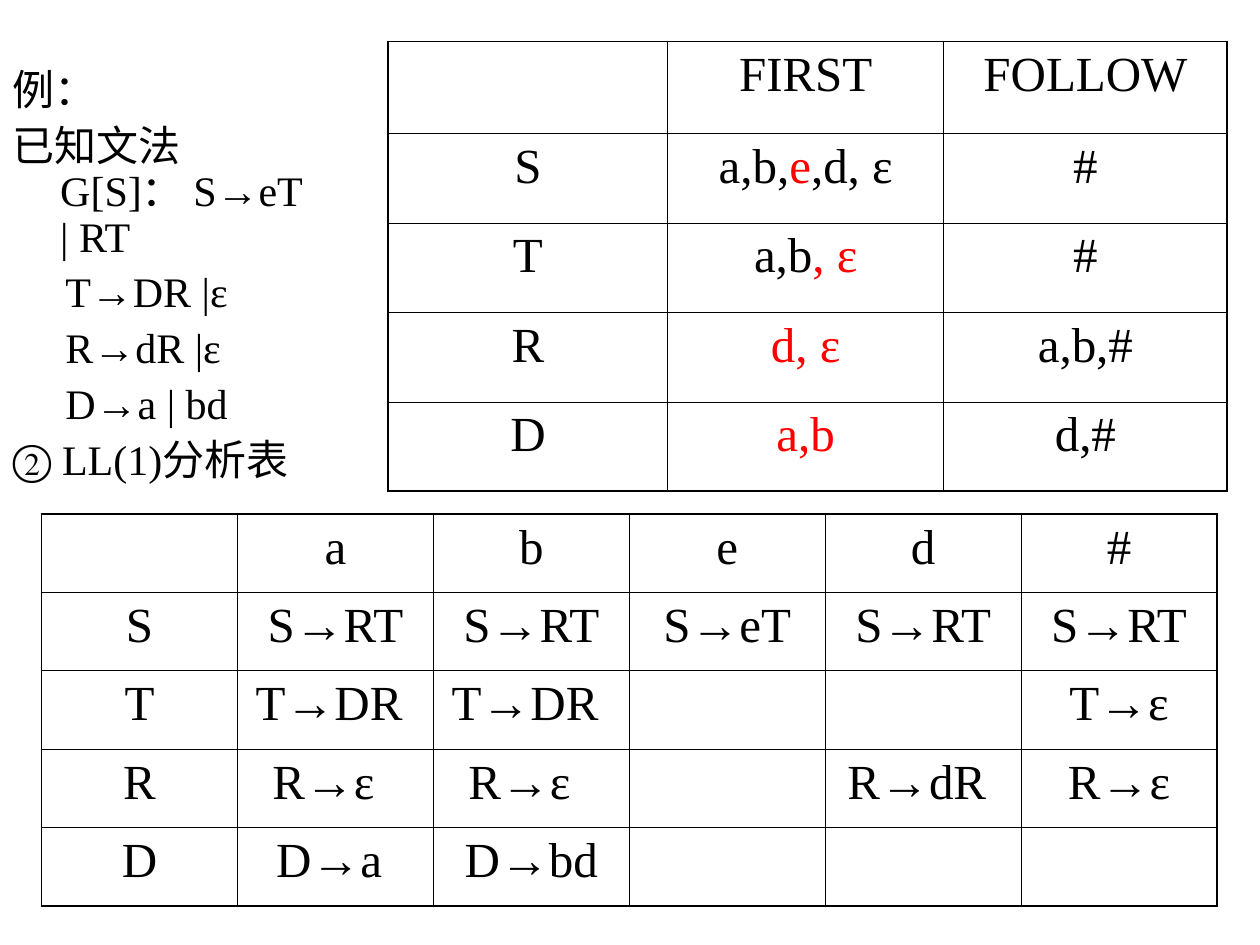
"""Build a slide with a grammar, its FIRST and FOLLOW sets and its LL(1) table."""
from lxml.etree import SubElement
from pptx import Presentation
from pptx.dml.color import RGBColor
from pptx.enum.text import PP_ALIGN
from pptx.oxml.ns import qn
from pptx.util import Inches, Pt

BLACK = RGBColor(0, 0, 0)
RED = RGBColor(255, 0, 0)

HANGING = {"marL": Inches(0.38), "indent": Inches(-0.38)}
INDENTED = {"marL": Inches(0.42), "indent": 0}
GRAMMAR = [
    ("例：", HANGING),
    ("已知文法G[S]： S→eT | RT", HANGING),
    ("T→DR |ε", INDENTED),
    ("R→dR |ε", INDENTED),
    ("D→a | bd", INDENTED),
    ("② LL(1)分析表", HANGING),
]

SETS = [
    ["", "FIRST", "FOLLOW"],
    ["S", [("a,b,", BLACK), ("e", RED), (",d, ε", BLACK)], "#"],
    ["T", [("a,b", BLACK), (", ε", RED)], "#"],
    ["R", [("d, ε", RED)], "a,b,#"],
    ["D", [("a,b", RED)], "d,#"],
]

PARSING = [
    ["", "a", "b", "e", "d", "#"],
    ["S", "S→RT", "S→RT", "S→eT", "S→RT", "S→RT"],
    ["T", "T→DR", "T→DR", "", "", "T→ε"],
    ["R", "R→ε", "R→ε", "", "R→dR", "R→ε"],
    ["D", "D→a", "D→bd", "", "", ""],
]
PARSING_RIGHT_MARGINS = {
    (2, 1): 0.2, (2, 2): 0.2, (3, 1): 0.29, (3, 2): 0.29, (3, 4): 0.2, (4, 1): 0.2,
}


class SlideBuilder:
    """Hold the style and the current slide."""

    font_name = "Times New Roman"
    outer_border = Pt(1.08)
    inner_border = Pt(0.45)

    def __init__(self, slide):
        self.slide = slide

    def add_run(self, paragraph, text, size, color=BLACK):
        run = paragraph.add_run()
        run.text = text
        for name, value in {"name": self.font_name, "size": Pt(size)}.items():
            setattr(run.font, name, value)
        run.font.color.rgb = color

    def add_text(self, lines, left, top, width, height):
        shape = self.slide.shapes.add_textbox(
            Inches(left), Inches(top), Inches(width), Inches(height))
        frame = shape.text_frame
        frame.word_wrap = True
        for index, (text, indents) in enumerate(lines):
            paragraph = frame.add_paragraph() if index else frame.paragraphs[0]
            properties = paragraph._p.get_or_add_pPr()
            for name, value in indents.items():
                properties.set(name, str(value))
            paragraph.line_spacing = 0.9
            paragraph.space_before = Pt(6 if index else 0)
            self.add_run(paragraph, text, 24)

    def add_borders(self, cell, outer_sides):
        properties = cell._tc.get_or_add_tcPr()
        for side in "LRTB":
            width = self.outer_border if side in outer_sides else self.inner_border
            line = SubElement(properties, qn(f"a:ln{side}"), w=str(width))
            fill = SubElement(line, qn("a:solidFill"))
            SubElement(fill, qn("a:srgbClr"), val=str(BLACK))

    def add_table(self, rows, left, top, widths, heights, right_margins):
        shape = self.slide.shapes.add_table(
            len(rows), len(widths), Inches(left), Inches(top),
            Inches(sum(widths)), Inches(sum(heights)))
        table = shape.table
        for name in ("first_row", "horz_banding"):
            setattr(table, name, False)
        for column, width in zip(table.columns, widths):
            column.width = Inches(width)
        for row, height in zip(table.rows, heights):
            row.height = Inches(height)
        last_row, last_column = len(rows) - 1, len(widths) - 1
        for row, contents in enumerate(rows):
            for column, content in enumerate(contents):
                cell = table.cell(row, column)
                edges = {"L": column == 0, "R": column == last_column,
                         "T": row == 0, "B": row == last_row}
                self.add_borders(cell, [side for side, outer in edges.items() if outer])
                cell.fill.background()
                cell.margin_right = Inches(right_margins.get((row, column), 0.1))
                paragraph = cell.text_frame.paragraphs[0]
                paragraph.alignment = PP_ALIGN.CENTER
                runs = [(content, BLACK)] if isinstance(content, str) else content
                for text, color in runs:
                    if text:
                        self.add_run(paragraph, text, 28, color)


def main():
    presentation = Presentation()
    presentation.slide_width = Inches(10)
    presentation.slide_height = Inches(7.5)
    builder = SlideBuilder(presentation.slides.add_slide(presentation.slide_layouts[6]))
    builder.add_text(GRAMMAR, 0, 0.5, 2.5, 3.08)
    builder.add_table(PARSING, 0.33, 4.08, [9.33 / 6] * 6, [3.11 / 5] * 5,
                      PARSING_RIGHT_MARGINS)
    builder.add_table(SETS, 3.08, 0.33, [2.22, 2.19, 2.25], [0.73] + [0.71] * 4, {})
    presentation.save("out.pptx")


if __name__ == "__main__":
    main()
